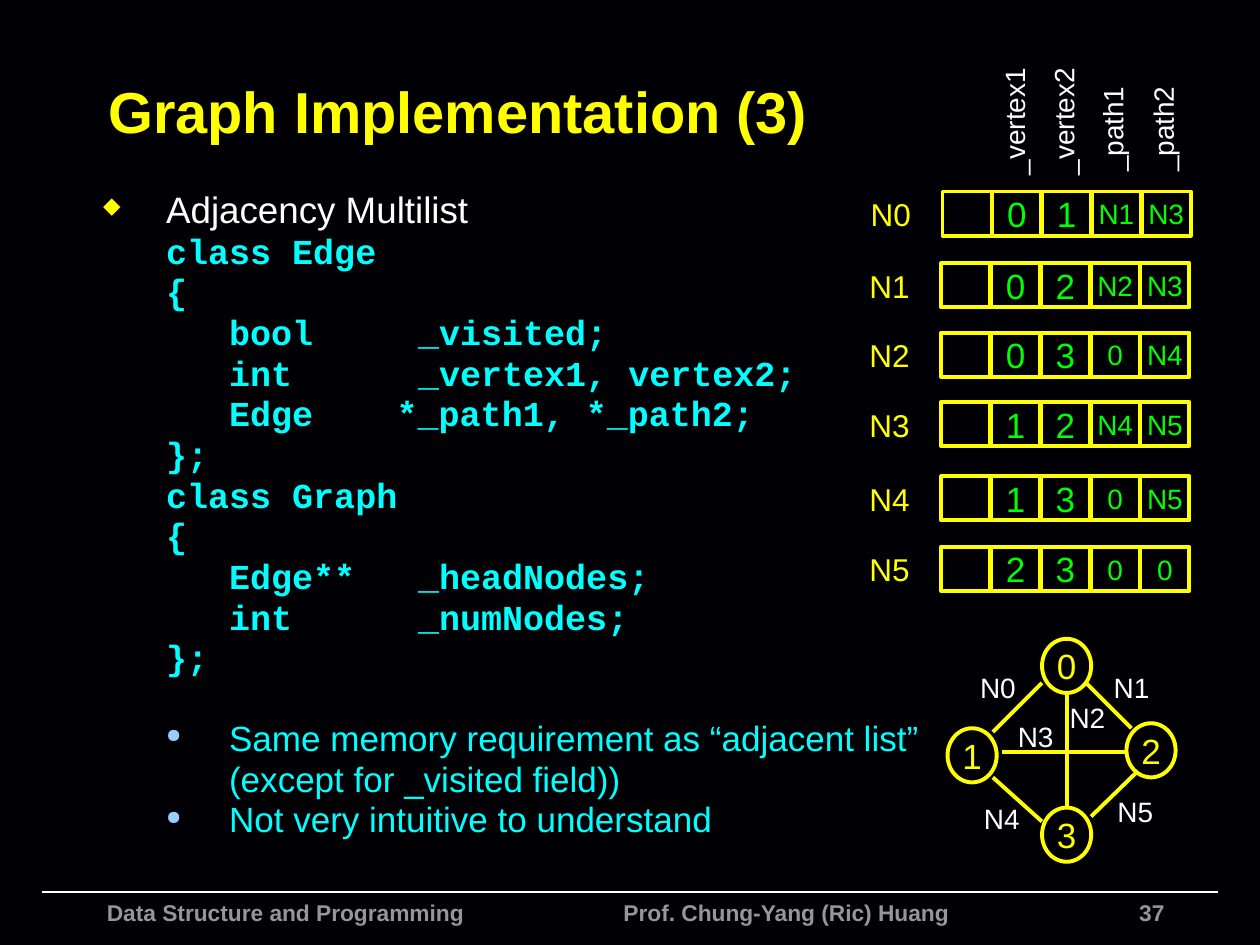
from lxml import etree
from pptx import Presentation
from pptx.dml.color import RGBColor
from pptx.enum.shapes import MSO_CONNECTOR as Conn, MSO_SHAPE as Form
from pptx.enum.text import MSO_ANCHOR as Anchor, MSO_AUTO_SIZE as Fit, PP_ALIGN as Align
from pptx.oxml.ns import qn
from pptx.util import Inches, Pt

YELLOW, GREEN, CYAN, WHITE, GRAY = "FFFF00", "00FF00", "00FFFF", "FFFFFF", "969696"

# Top, name and values of each edge record
ROWS = [
    (1.52, "N0", ["0", "1", "N1", "N3"]),
    (2.09, "N1", ["0", "2", "N2", "N3"]),
    (2.64, "N2", ["0", "3", "0", "N4"]),
    (3.19, "N3", ["1", "2", "N4", "N5"]),
    (3.78, "N4", ["1", "3", "0", "N5"]),
    (4.34, "N5", ["2", "3", "0", "0"]),
]
# Centre and width of each column heading
HEADS = [("_vertex1", 8.05, 0.95), ("_vertex2", 8.44, 0.95),
         ("_path1", 8.83, 0.78), ("_path2", 9.23, 0.78)]
NODES = [(8.27, 5.07), (7.52, 5.78), (8.94, 5.74), (8.27, 6.41)]
# Ends of each graph edge, then the corner of its label
EDGES = [
    ("N0", 8.27, 5.42, 7.88, 5.81, 7.71, 5.27),
    ("N1", 8.62, 5.42, 8.98, 5.78, 8.77, 5.27),
    ("N2", 8.47, 5.5, 8.47, 6.41, 8.42, 5.51),
    ("N3", 7.95, 5.97, 8.94, 5.97, 8.01, 5.66),
    ("N4", 7.88, 6.17, 8.27, 6.52, 7.74, 6.31),
    ("N5", 9.02, 6.13, 8.66, 6.48, 8.8, 6.26),
]
# Code text, left margin and first-line indent
CODE = [
    ("class Edge", 0.5, 0),
    ("{", 0.5, 0),
    ("bool\t_visited;", 2.5, -1.5),
    ("int\t_vertex1, vertex2;", 2.5, -1.5),
    ("Edge\t*_path1, *_path2;", 2.33, -1.33),
    ("};", 0.5, 0),
    ("class Graph", 0.5, 0),
    ("{", 0.5, 0),
    ("Edge**\t_headNodes;", 2.5, -1.5),
    ("int\t_numNodes;", 2.5, -1.5),
    ("};", 0.5, 0),
]


def color(code):
    return RGBColor.from_string(code)


def style(para, size, code, bold=False, face="Arial", align=Align.LEFT):
    font = para.font
    font.name, font.size, font.bold = face, Pt(size), bold
    font.color.rgb = color(code)
    para.alignment = align


def indent(para, left, first):
    props = para._p.get_or_add_pPr()
    props.set("marL", str(Inches(left)))
    props.set("indent", str(Inches(first)))


def bullet(para, char, code, size):
    props = para._p.get_or_add_pPr()
    tint = etree.SubElement(props, qn("a:buClr"))
    etree.SubElement(tint, qn("a:srgbClr"), val=code)
    etree.SubElement(props, qn("a:buSzPct"), val=str(size * 1000))
    etree.SubElement(props, qn("a:buChar"), char=char)
    # Bullet marks come before the default run style
    font = props.find(qn("a:defRPr"))
    if font is not None:
        props.append(font)


def frame(shape, pad=0.05, wrap=False, anchor=Anchor.TOP):
    text = shape.text_frame
    text.margin_left = text.margin_right = Inches(pad)
    text.margin_top = text.margin_bottom = Inches(0.05)
    text.word_wrap, text.vertical_anchor = wrap, anchor
    text.auto_size = Fit.NONE
    return text


def label(shapes, words, x, y, w, h, size, code, **look):
    box = shapes.add_textbox(Inches(x), Inches(y), Inches(w), Inches(h))
    text = frame(box)
    text.auto_size = Fit.SHAPE_TO_FIT_TEXT
    para = text.paragraphs[0]
    para.text = words
    style(para, size, code, **{"align": Align.CENTER, **look})
    return box


def cell(shapes, form, words, x, y, w, h, size, code):
    shape = shapes.add_shape(form, Inches(x), Inches(y), Inches(w), Inches(h))
    shape.shadow.inherit = False
    shape.fill.background()
    shape.line.color.rgb = color(YELLOW)
    shape.line.width = Pt(2.25)
    if words:
        para = frame(shape, anchor=Anchor.MIDDLE).paragraphs[0]
        para.text = words
        style(para, size, code, align=Align.CENTER)


def line(shapes, x1, y1, x2, y2, code, width):
    link = shapes.add_connector(Conn.STRAIGHT, Inches(x1), Inches(y1), Inches(x2), Inches(y2))
    link.line.color.rgb = color(code)
    link.line.width = Pt(width)
    etree.SubElement(link._element.spPr, qn("a:effectLst"))


def title(slide, words):
    head = slide.shapes.title
    head.left, head.top = Inches(0.76), Inches(0.37)
    head.width, head.height = Inches(8.84), Inches(1.01)
    para = frame(head, 0.1, True, Anchor.MIDDLE).paragraphs[0]
    para.text = words
    style(para, 33, YELLOW, bold=True)


def body(shapes):
    box = shapes.add_textbox(Inches(0.72), Inches(1.5), Inches(8.5), Inches(5.52))
    text = frame(box, 0.1, True)

    def add(words, left, first, size=20, code=CYAN, gap=4, **look):
        para = text.paragraphs[0] if not text.text else text.add_paragraph()
        para.text = words
        para.line_spacing, para.space_before = 0.8, Pt(gap)
        style(para, size, code, **look)
        indent(para, left, first)
        return para

    bullet(add("Adjacency Multilist", 0.5, -0.5, 21, WHITE), "◆", YELLOW, 62)
    for words, left, first in CODE:
        add(words, left, first, bold=True, face="Courier New")
    same = add("Same memory requirement as “adjacent list”", 1, -0.5, gap=27)
    add("(except for _visited field))", 1, 0)
    hard = add("Not very intuitive to understand", 1, -0.5)
    for para in (same, hard):
        bullet(para, "●", "99CCFF", 55)


def record(shapes, x, y, name, values):
    group = shapes.add_group_shape().shapes
    for col, words in enumerate([""] + values):
        size = 20 if col < 3 else 16
        cell(group, Form.RECTANGLE, words, x + col * 0.395, y, 0.39, 0.35, size, GREEN)
    label(group, name, x - 0.62, y - 0.02, 0.42, 0.4, 18, YELLOW)


def graph(shapes):
    for num, (x, y) in enumerate(NODES):
        cell(shapes, Form.OVAL, str(num), x, y, 0.39, 0.43, 20, YELLOW)
    for name, x1, y1, x2, y2, x, y in EDGES:
        line(shapes, x1, y1, x2, y2, YELLOW, 2.25)
        label(shapes, name, x, y, 0.42, 0.37, 16, WHITE)


def footer(shapes):
    line(shapes, 0.33, 7.08, 9.67, 7.08, WHITE, 1)
    words = "Data Structure and Programming\tProf. Chung-Yang (Ric) Huang"
    box = label(shapes, words, 0.75, 7.08, 7.24, 0.42, 13, GRAY, bold=True, align=Align.LEFT)
    indent(frame(box, 0.1, True).paragraphs[0], 4.1, -4.1)
    page = label(shapes, "37", 6.17, 7.08, 3.17, 0.42, 13, GRAY, bold=True, align=Align.RIGHT)
    frame(page, 0.1, True)


def main():
    deck = Presentation()
    deck.slide_width, deck.slide_height = Inches(10), Inches(7.5)
    slide = deck.slides.add_slide(deck.slide_layouts[5])
    slide.background.fill.solid()
    slide.background.fill.fore_color.rgb = color("010004")
    shapes = slide.shapes

    footer(shapes)
    title(slide, "Graph Implementation (3)")
    body(shapes)
    # Edge records with turned column headings
    for row, (y, name, values) in enumerate(ROWS):
        record(shapes, 7.47 if row else 7.48, y, name, values)
    for words, mid, w in HEADS:
        y = 0.78 if w > 0.9 else 0.84
        label(shapes, words, mid - w / 2, y, w, 0.37, 16, WHITE).rotation = 270
    graph(shapes)
    deck.save("out.pptx")


main()
